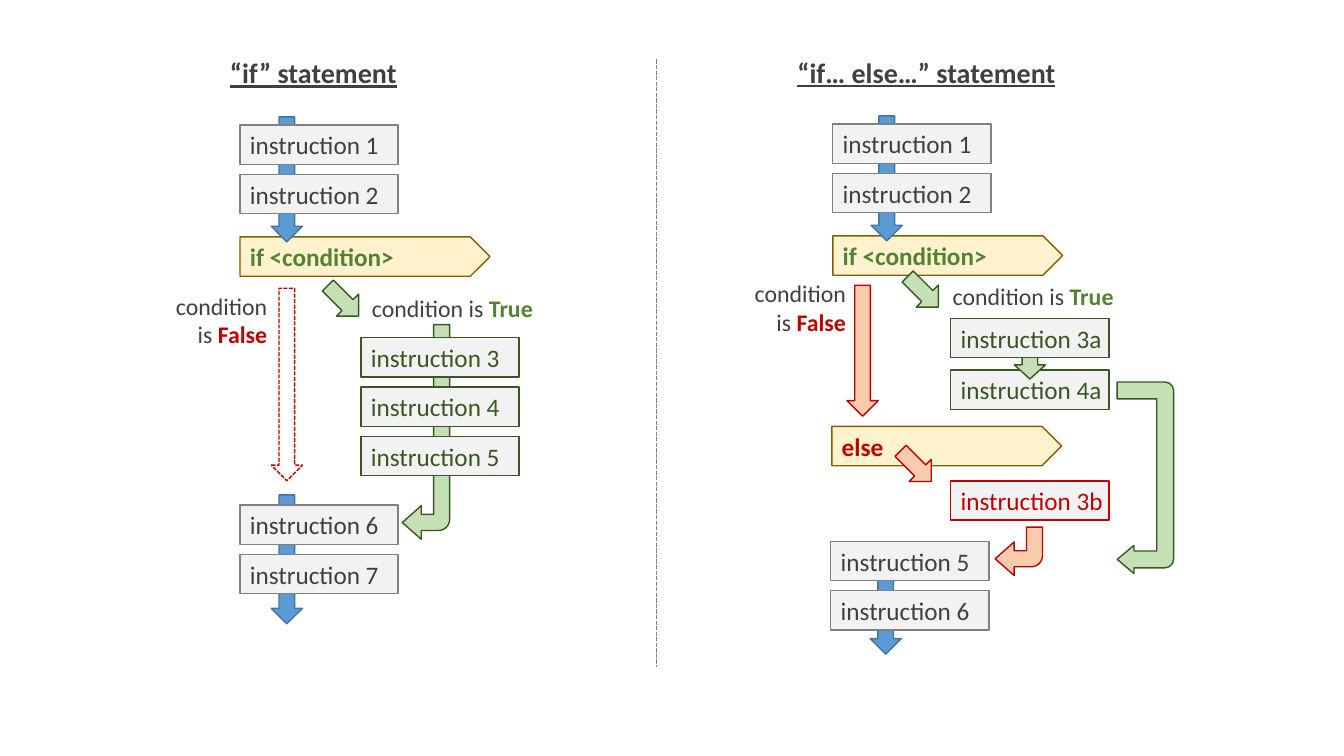
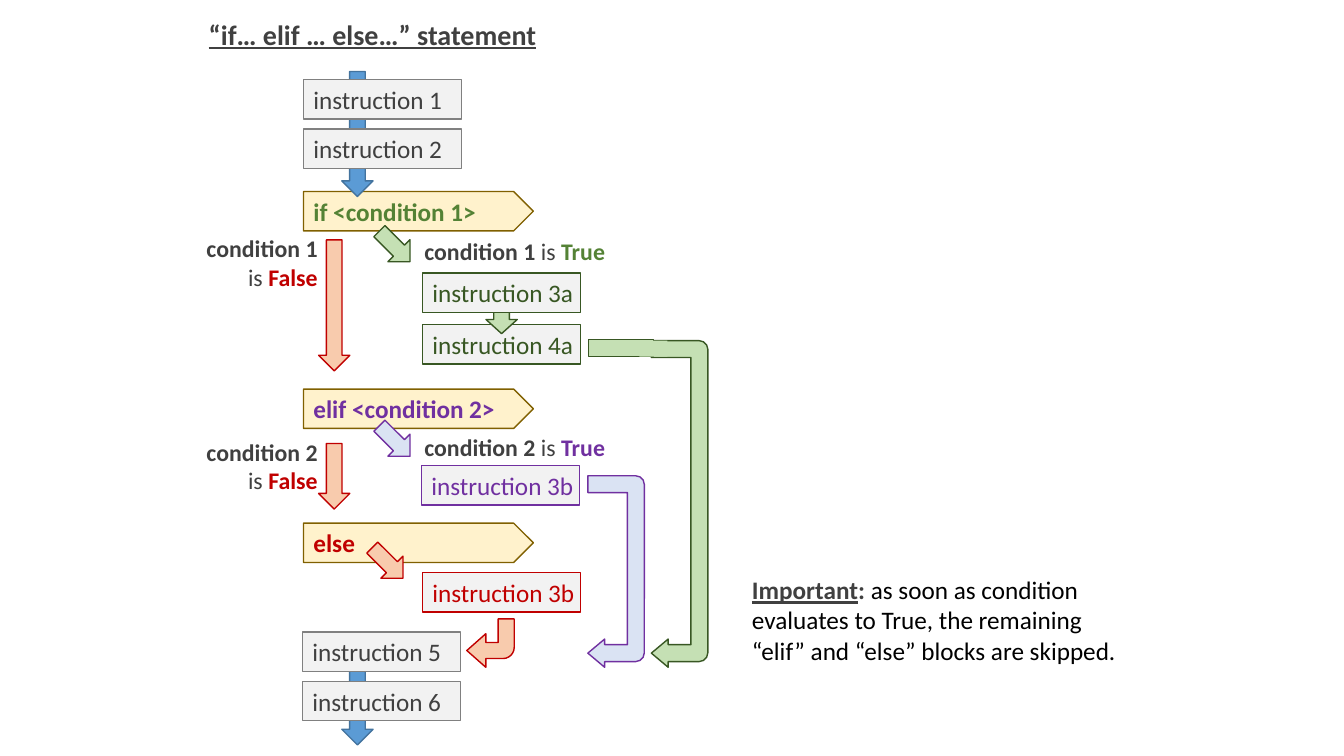
from dataclasses import dataclass
from typing import NamedTuple, Optional

from lxml import etree
from pptx import Presentation
from pptx import util as u
from pptx.dml.color import RGBColor
from pptx.enum import dml, shapes, text
from pptx.oxml.ns import qn

CELL = 0.1  # inches: the slide is a grid of 133.3 columns by 75 rows
COLUMNS, ROWS = 133.3, 75
FONT = "Calibri"
STEP_WIDTH, STEP_HEIGHT, STEP_PITCH = 15.7, 3.9, 4.9
PLATE_WIDTH = 22.8
SHAFT_WIDTH = 3.1
BEND = (0.339, 0.355, 0.401, 0.236)
U_TURN = (0.299, 0.25, 0.297, 0.154, 1)

BLACK = RGBColor(0x00, 0x00, 0x00)
INK = RGBColor(0x40, 0x40, 0x40)
GRAY = RGBColor(0x80, 0x80, 0x80)
PALE_GRAY = RGBColor(0xF2, 0xF2, 0xF2)
BLUE = RGBColor(0x5B, 0x9B, 0xD5)
DARK_BLUE = RGBColor(0x43, 0x73, 0x9E)
CREAM = RGBColor(0xFF, 0xF2, 0xCC)
OLIVE = RGBColor(0x80, 0x60, 0x00)
GREEN = RGBColor(0x54, 0x82, 0x35)
DARK_GREEN = RGBColor(0x38, 0x57, 0x23)
PALE_GREEN = RGBColor(0xC5, 0xE0, 0xB4)
RED = RGBColor(0xC0, 0x00, 0x00)
PALE_RED = RGBColor(0xF8, 0xCB, 0xAD)
PURPLE = RGBColor(0x70, 0x30, 0xA0)
PALE_PURPLE = RGBColor(0xDA, 0xE3, 0xF3)

KIND = shapes.MSO_SHAPE


class Tone(NamedTuple):
    fill: Optional[RGBColor]
    line: Optional[RGBColor]


class Span(NamedTuple):
    words: str
    color: RGBColor = INK
    bold: bool = False
    underline: bool = False


FLOW = Tone(BLUE, DARK_BLUE)
TRUE = Tone(PALE_GREEN, DARK_GREEN)
FALSE = Tone(PALE_RED, RED)
SKIPPED = Tone(None, RED)
ELIF = Tone(PALE_PURPLE, PURPLE)
TEST = Tone(CREAM, OLIVE)


@dataclass(frozen=True)
class Piece:
    """A shape, or a text box if it has no kind; the box is as seen after turning."""
    left: float
    top: float
    width: float
    height: float
    kind: Optional[shapes.MSO_SHAPE] = None
    tone: Tone = FLOW
    spans: tuple[Span, ...] = ()
    size: int = 18
    right_aligned: bool = False
    turn: int = 0
    adjustments: tuple[float, ...] = ()
    dashed: bool = False


def cells(count: float) -> u.Length:
    return u.Inches(count * CELL)


def step(left: float, top: float, name: str, line: RGBColor = GRAY) -> Piece:
    color = INK if line == GRAY else line
    return Piece(left, top, STEP_WIDTH, STEP_HEIGHT, KIND.RECTANGLE,
                 Tone(PALE_GRAY, line), (Span(f"instruction {name}", color),))


def steps(left: float, top: float, names: str, line: RGBColor = GRAY) -> list[Piece]:
    return [step(left, top + row * STEP_PITCH, name, line)
            for row, name in enumerate(names)]


def plate(left: float, top: float, words: str, color: RGBColor,
          width: float = PLATE_WIDTH) -> Piece:
    return Piece(left, top, width, STEP_HEIGHT, KIND.PENTAGON, TEST,
                 (Span(words, color, True),))


def arrow(left: float, top: float, height: float, tone: Tone = FLOW,
          dashed: bool = False) -> Piece:
    return Piece(left, top, SHAFT_WIDTH, height, KIND.DOWN_ARROW, tone, dashed=dashed)


def slant(left: float, top: float, tone: Tone) -> Piece:
    return Piece(left, top, SHAFT_WIDTH, 4.3, KIND.DOWN_ARROW, tone, turn=315)


def hook(left: float, top: float, height: float, tone: Tone) -> Piece:
    """Arrow going down and then left."""
    return Piece(left, top, 4.7, height, KIND.BENT_ARROW, tone,
                 turn=180, adjustments=BEND)


def bypass(left: float, top: float, height: float, tone: Tone) -> Piece:
    """Arrow leaving to the right and coming back further down."""
    return Piece(left, top, 5.6, height, KIND.U_TURN_ARROW, tone,
                 turn=90, adjustments=U_TURN)


def true_label(left: float, top: float, subject: str, color: RGBColor) -> Piece:
    numbered = subject != "condition"
    spans = (Span(subject, bold=numbered), Span(" is "), Span("True", color, True))
    return Piece(left, top, 21.2, 3.9, spans=spans, size=17)


def false_label(right: float, top: float, subject: str) -> Piece:
    numbered = subject != "condition"
    width = 14.4 if numbered else 12
    spans = (Span(f"{subject} ", bold=numbered), Span("is "), Span("False", RED, True))
    return Piece(right - width, top, width, 6.7, spans=spans, size=17,
                 right_aligned=True)


def heading(left: float, top: float, width: float, words: str) -> Piece:
    return Piece(left, top, width, 4.4, spans=(Span(words, INK, True, True),), size=20)


def opening(left: float, top: float, words: str, shaft: float = 3.8,
            width: float = PLATE_WIDTH) -> list[Piece]:
    """Instructions 1 and 2 leading to the "if" plate."""
    return [plate(left, top + 11.1, words, GREEN, width),
            arrow(left + shaft, top - 0.8, 12.4),
            *steps(left, top, "12")]


def two_step_branch(left: float, top: float, subject: str) -> list[Piece]:
    """What follows an "if" plate at left, top."""
    column = left + 11.8
    return [step(column, top + 13.2, "4a", DARK_GREEN),
            arrow(left + 18.1, top + 11.3, 2.8, TRUE),
            step(column, top + 8.1, "3a", DARK_GREEN),
            true_label(left + 11, top + 4, subject, GREEN),
            slant(left + 7.5, top + 3.3, TRUE),
            arrow(left + 1.5, top + 4.8, 13, FALSE),
            false_label(left + 2.4, top + 3.7, subject)]


def elif_branch(left: float, top: float) -> list[Piece]:
    return [plate(left, top, "elif <condition 2>", PURPLE),
            true_label(left + 11, top + 3.8, "condition 2", PURPLE),
            slant(left + 7.5, top + 3, ELIF),
            arrow(left + 1.5, top + 5.4, 6.5, FALSE),
            false_label(left + 2.4, top + 4.3, "condition 2"),
            step(left + 11.7, top + 7.6, "3b", PURPLE)]


def else_branch(left: float, top: float, drop: float) -> list[Piece]:
    return [plate(left, top, "else", RED),
            slant(left + 6.8, top + 1.8, FALSE),
            step(left + 11.8, top + drop, "3b", RED),
            hook(left + 16.2, top + drop + 4.6, 4.8, FALSE)]


def closing(left: float, top: float) -> list[Piece]:
    return [arrow(left + 3.9, top + 1.3, 9.9), *steps(left, top, "56")]


def write(frame, piece: Piece) -> None:
    frame.word_wrap = True
    frame.auto_size = text.MSO_AUTO_SIZE.NONE
    frame.vertical_anchor = (text.MSO_ANCHOR.MIDDLE if piece.kind
                             else text.MSO_ANCHOR.TOP)
    if piece.kind:
        frame.margin_top = frame.margin_bottom = frame.margin_right = 0
    para = frame.paragraphs[0]
    para.alignment = (text.PP_ALIGN.RIGHT if piece.right_aligned
                      else text.PP_ALIGN.LEFT)
    para.font.name, para.font.size = FONT, u.Pt(piece.size)
    for span in piece.spans:
        run = para.add_run()
        run.text = span.words
        run.font.color.rgb = span.color
        run.font.bold, run.font.underline = span.bold, span.underline


def paint(shape, piece: Piece) -> None:
    shape.shadow.inherit = False
    if piece.tone.fill is None:
        shape.fill.background()
    else:
        shape.fill.solid()
        shape.fill.fore_color.rgb = piece.tone.fill
    if piece.tone.line is None:
        shape.line.fill.background()
    else:
        shape.line.color.rgb = piece.tone.line
        shape.line.width = u.Pt(1)
    if piece.dashed:
        shape.line.dash_style = dml.MSO_LINE.SQUARE_DOT
    shape.rotation = piece.turn
    for index, value in enumerate(piece.adjustments):
        shape.adjustments[index] = value


def draw(page, piece: Piece) -> None:
    left, top, width, height = piece.left, piece.top, piece.width, piece.height
    if piece.turn == 90:
        left, top = left + (width - height) / 2, top + (height - width) / 2
        width, height = height, width
    place = [cells(count) for count in (left, top, width, height)]
    if piece.kind is None:
        box = page.shapes.add_textbox(*place)
    else:
        box = page.shapes.add_shape(piece.kind, *place)
        paint(box, piece)
    if piece.spans:
        write(box.text_frame, piece)


def add_page(deck, title: Piece, pieces: list[Piece]):
    page = deck.slides.add_slide(deck.slide_layouts.get_by_name("Title Only"))
    box = page.shapes.title
    box.left, box.top = cells(title.left), cells(title.top)
    box.width, box.height = cells(title.width), cells(title.height)
    write(box.text_frame, title)
    for piece in pieces:
        draw(page, piece)
    return page


def add_divider(page, column: float, top: float, bottom: float) -> None:
    line = page.shapes.add_connector(shapes.MSO_CONNECTOR.STRAIGHT, cells(column),
                                     cells(top), cells(column), cells(bottom))
    line.line.color.rgb = GRAY
    line.line.width = u.Pt(1)
    line.line.dash_style = dml.MSO_LINE.SQUARE_DOT
    etree.SubElement(line.element.spPr, qn("a:effectLst"))


def main() -> None:
    deck = Presentation()
    deck.slide_width, deck.slide_height = cells(COLUMNS), cells(ROWS)

    if_flow = [
        hook(39.9, 32.2, 21.3, TRUE),
        arrow(26.9, 49.1, 12.8),
        *opening(23.8, 12.4, "if <condition>", SHAFT_WIDTH, 24.8),
        *steps(35.8, 33.5, "345", DARK_GREEN),
        *steps(23.8, 50.1, "67"),
        arrow(26.9, 28.6, 19.1, SKIPPED, dashed=True),
        true_label(35.9, 28.6, "condition", GREEN),
        slant(32.5, 27.7, TRUE),
        false_label(27.5, 28.4, "condition"),
    ]
    if_else_flow = [
        *opening(82.6, 12.3, "if <condition>"),
        *two_step_branch(82.5, 23.5, "condition"),
        *else_branch(82.5, 42.3, 5.4),
        *closing(82.4, 53.7),
        bypass(110.8, 37.9, 19, TRUE),
        heading(78.1, 5, 33.1, "“if… else…” statement"),
    ]
    page = add_page(deck, heading(21.8, 5, 22.3, "“if” statement"),
                    if_flow + if_else_flow)
    add_divider(page, 65.1, 5.9, 66.2)

    note = (Span("Important", INK, True, True), Span(":", INK, True),
            Span(" as soon as condition evaluates to True, the remaining "
                 "“elif” and “else” blocks are skipped.", BLACK))
    elif_flow = [
        *opening(30.1, 7.9, "if <condition 1>"),
        *two_step_branch(30.1, 19, "condition 1"),
        *elif_branch(30.1, 38.6),
        *else_branch(30.1, 51.9, 4.9),
        *closing(30, 62.7),
        bypass(58.3, 47.2, 19, ELIF),
        bypass(64.6, 33.8, 32.4, TRUE),
        Piece(58.4, 33.7, 6.4, 1.7, KIND.RECTANGLE, TRUE),
        Piece(63.4, 33.8, 2.8, 1.6, KIND.RECTANGLE, Tone(PALE_GREEN, None)),
        Piece(73.6, 56.5, 38.8, 10.1, spans=note),
    ]
    add_page(deck, heading(19.7, 1.2, 37, "“if… elif … else…” statement"), elif_flow)
    deck.save("out.pptx")


if __name__ == "__main__":
    main()
